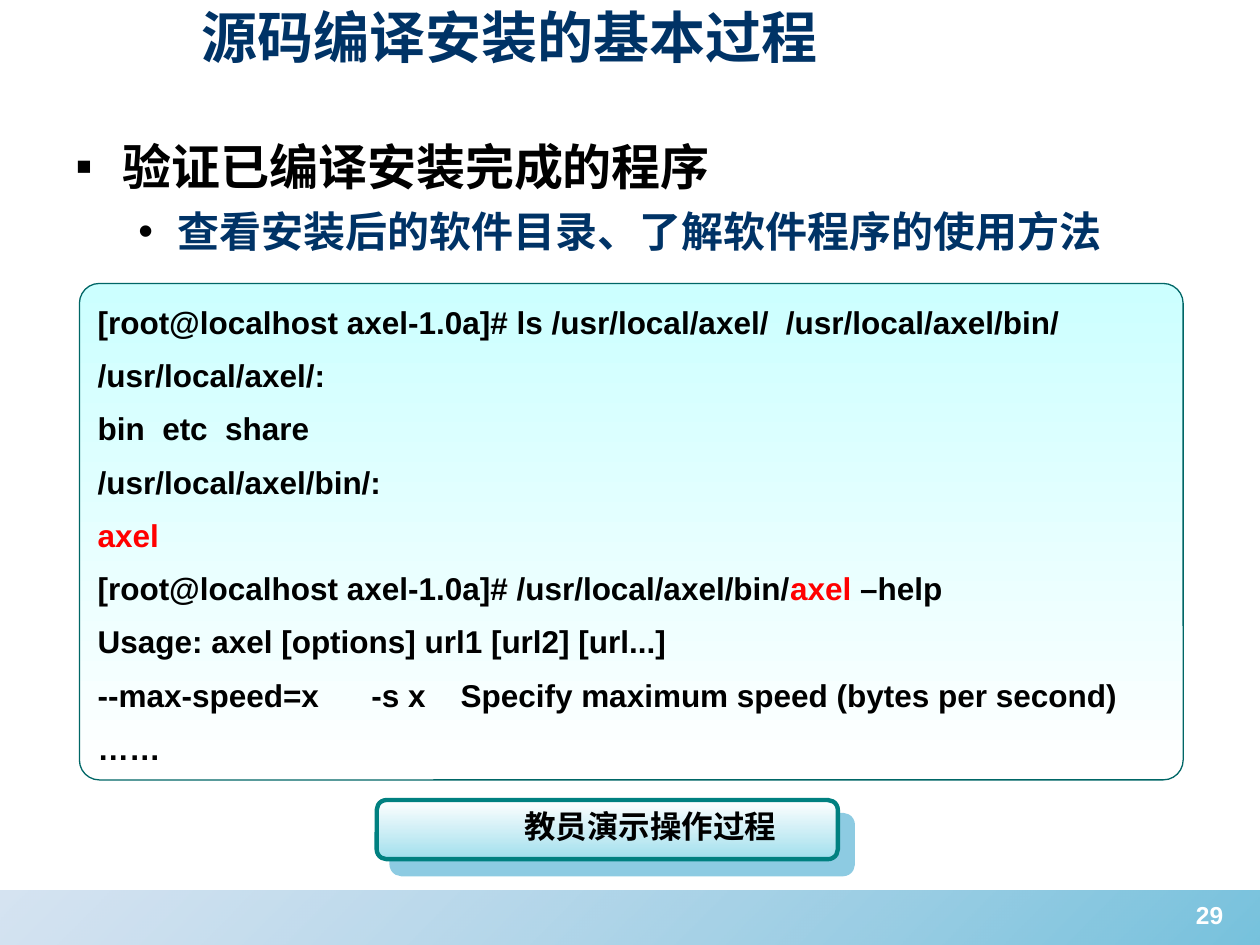
from dataclasses import dataclass

from lxml.etree import SubElement
from pptx import Presentation
from pptx.dml.color import RGBColor
from pptx.enum.shapes import MSO_SHAPE as Preset
from pptx.enum.text import MSO_ANCHOR as Anchor, MSO_AUTO_SIZE as AutoSize, PP_ALIGN as Align
from pptx.oxml import parse_xml
from pptx.oxml.ns import nsdecls, qn
from pptx.util import Pt


@dataclass(frozen=True)
class Theme:
    """Colours, font and type sizes of the slide."""
    font: str = "Arial"
    navy: str = "003366"
    black: str = "000000"
    white: str = "FFFFFF"
    red: str = "FF0000"
    grey: str = "C0C0C0"
    mint: str = "CCFFFF"
    ice: str = "A1DFED"
    sea: str = "1C99C6"
    mist: str = "88B0D8"
    pine: str = "006666"
    teal: str = "008080"
    title: int = 32
    point: int = 28
    subpoint: int = 24
    code: int = 18
    number: int = 14


THEME = Theme()
CODE_LINES = [
    [("[root@localhost axel-1.0a]# ls /usr/local/axel/  /usr/local/axel/bin/", THEME.black)],
    [("/usr/local/axel/:", THEME.black)],
    [("bin  etc  share", THEME.black)],
    [("/usr/local/axel/bin/:", THEME.black)],
    [("axel", THEME.red)],
    [("[root@localhost axel-1.0a]# /usr/local/axel/bin/", THEME.black),
     ("axel", THEME.red), (" –help", THEME.black)],
    [("Usage: axel [options] url1 [url2] [url...]", THEME.black)],
    [("--max-speed=x      -s x    Specify maximum speed (bytes per second)", THEME.black)],
    [("……", THEME.black)],
]


def points(box):
    """Turn a box of plain numbers into lengths."""
    return [Pt(length) for length in box]


def outer_shadow(color, opacity, distance):
    """Make an effect list holding one diagonal shadow."""
    return parse_xml(
        f'<a:effectLst {nsdecls("a")}><a:outerShdw blurRad="0" dist="{Pt(distance)}" '
        f'dir="2700000" algn="tl" rotWithShape="0"><a:srgbClr val="{color}">'
        f'<a:alpha val="{opacity * 1000}"/></a:srgbClr></a:outerShdw></a:effectLst>')


def add_span(para, text, size, color, shadow=False):
    """Add one bold run."""
    span = para.add_run()
    span.text = text
    font = span.font
    font.name, font.size, font.bold = THEME.font, Pt(size), True
    font.color.rgb = RGBColor.from_string(color)
    if shadow:
        fill = span._r.get_or_add_rPr().find(qn("a:solidFill"))
        fill.addnext(outer_shadow(THEME.grey, 100, 1.5))


def indent(para, left, hanging, bullet=None):
    """Give a paragraph a hanging indent and, if named, a bullet."""
    properties = para._p.get_or_add_pPr()
    properties.set("marL", str(Pt(left)))
    properties.set("indent", str(-Pt(hanging)))
    if bullet:
        color = SubElement(properties, qn("a:buClr"))
        SubElement(color, qn("a:srgbClr"), val=THEME.black)
        SubElement(properties, qn("a:buFont"), typeface=THEME.font)
        SubElement(properties, qn("a:buChar"), char=bullet)


def add_panel(shapes, preset, box, colors, angle, line=None, weight=0, opacities=()):
    """Add a shape with a two-colour gradient."""
    panel = shapes.add_shape(preset, *points(box))
    panel.shadow.inherit = False
    panel.fill.gradient()
    panel.fill.gradient_angle = angle
    stops = panel.fill.gradient_stops
    for stop, place, color in zip(stops, (0, 1), colors):
        stop.position = place
        stop.color.rgb = RGBColor.from_string(color)
    marks = panel._element.spPr.iter(qn("a:srgbClr"))
    for mark, opacity in zip(list(marks), opacities):
        SubElement(mark, qn("a:alpha"), val=str(opacity * 1000))
    if line:
        panel.line.color.rgb = RGBColor.from_string(line)
        panel.line.width = Pt(weight)
    else:
        panel.line.fill.background()
    return panel


def add_label(shapes, box, text, size, color, shadow=False):
    """Add a centred one-line text box."""
    frame = shapes.add_textbox(*points(box)).text_frame
    frame.word_wrap = True
    para = frame.paragraphs[0]
    para.alignment = Align.CENTER
    add_span(para, text, size, color, shadow)


def add_footer(slide, box, number):
    """Draw the bottom band and the page number at its right end."""
    left, top, width, height = box
    add_panel(slide.shapes, Preset.RECTANGLE, box, (THEME.sea, THEME.mist), 135,
              opacities=(60, 35))
    add_label(slide.shapes, (left + width - 54.7, top + 1.5, 51.8, 37.4), number,
              THEME.number, THEME.white)


def add_title(slide, box, text):
    """Place and format the title placeholder."""
    title = slide.shapes.title
    title.left, title.top, title.width, title.height = points(box)
    frame = title.text_frame
    frame.auto_size = AutoSize.SHAPE_TO_FIT_TEXT
    frame.vertical_anchor = Anchor.MIDDLE
    para = frame.paragraphs[0]
    para.alignment = Align.LEFT
    add_span(para, text, THEME.title, THEME.navy)


def add_outline(slide, box):
    """Write the bulleted point and its subpoint."""
    frame = slide.shapes.add_textbox(*points(box)).text_frame
    frame.word_wrap = True
    point, subpoint = frame.paragraphs[0], frame.add_paragraph()
    point.space_before, subpoint.space_before = Pt(7), Pt(6)
    subpoint.level = 1
    indent(point, 27, 27, "▪")
    indent(subpoint, 58.5, 22.5, "•")
    add_span(point, "验证已编译安装完成的程序", THEME.point, THEME.black, True)
    add_span(subpoint, "查看安装后的软件目录、了解软件程序的使用方法",
             THEME.subpoint, THEME.navy, True)


def add_terminal(slide, box, lines):
    """Draw the terminal panel with its lines."""
    panel = add_panel(slide.shapes, Preset.ROUNDED_RECTANGLE, box,
                      (THEME.mint, THEME.white), 270, THEME.pine, 0.75)
    panel.adjustments[0] = 0.04
    frame = panel.text_frame
    frame.word_wrap = True
    frame.vertical_anchor = Anchor.TOP
    for index, line in enumerate(lines):
        para = frame.add_paragraph() if index else frame.paragraphs[0]
        para.alignment = Align.LEFT
        para.line_spacing, para.space_before = 1.2, Pt(4.5)
        indent(para, 27, 27)
        for text, color in line:
            add_span(para, text, THEME.code, color, color == THEME.black)


def add_button(slide, box, text):
    """Group the shadowed button with its label."""
    left, top, width, height = box
    group = slide.shapes.add_group_shape()
    button = add_panel(group.shapes, Preset.FLOWCHART_ALTERNATE_PROCESS, box,
                       (THEME.white, THEME.ice), 270, THEME.teal, 2.5)
    properties = button._element.spPr
    properties.replace(properties.find(qn("a:effectLst")), outer_shadow(THEME.sea, 50, 12.1))
    add_label(group.shapes, (left + 75.6, top + 0.7, 161.3, 28.8), text,
              THEME.code, THEME.black, True)


def main():
    """Build the slide and save it."""
    deck = Presentation()
    deck.slide_width, deck.slide_height = Pt(720), Pt(540)
    slide = deck.slides.add_slide(deck.slide_layouts[5])
    add_footer(slide, (0, 509, 720, 31), "29")
    add_title(slide, (108, -2.2, 581, 46), "源码编译安装的基本过程")
    add_outline(slide, (36, 74.2, 648, 400))
    add_terminal(slide, (45.4, 162, 630.7, 283.7), CODE_LINES)
    add_button(slide, (215.3, 457.2, 263.5, 33.8), "教员演示操作过程")
    deck.save("out.pptx")


if __name__ == "__main__":
    main()
